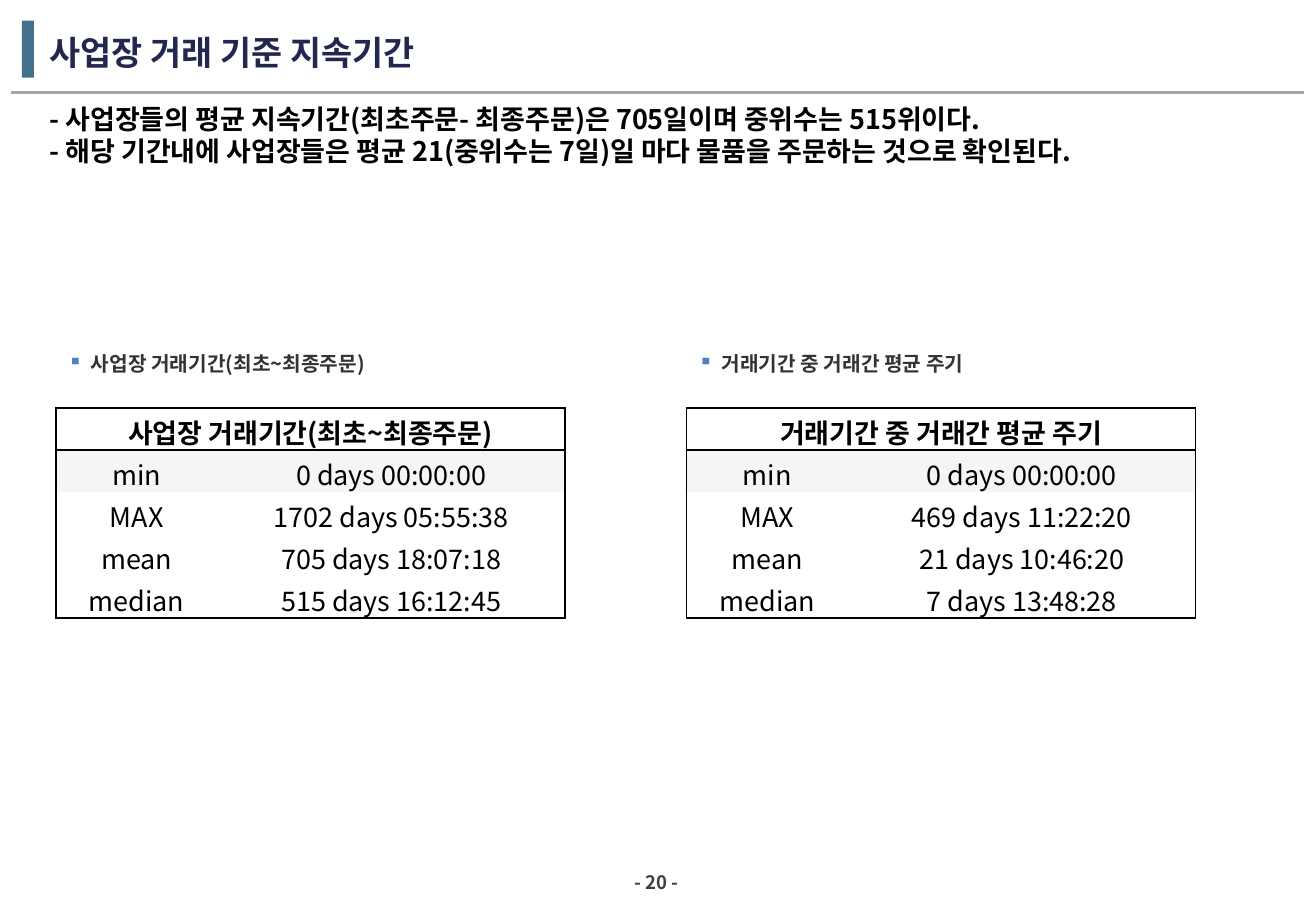
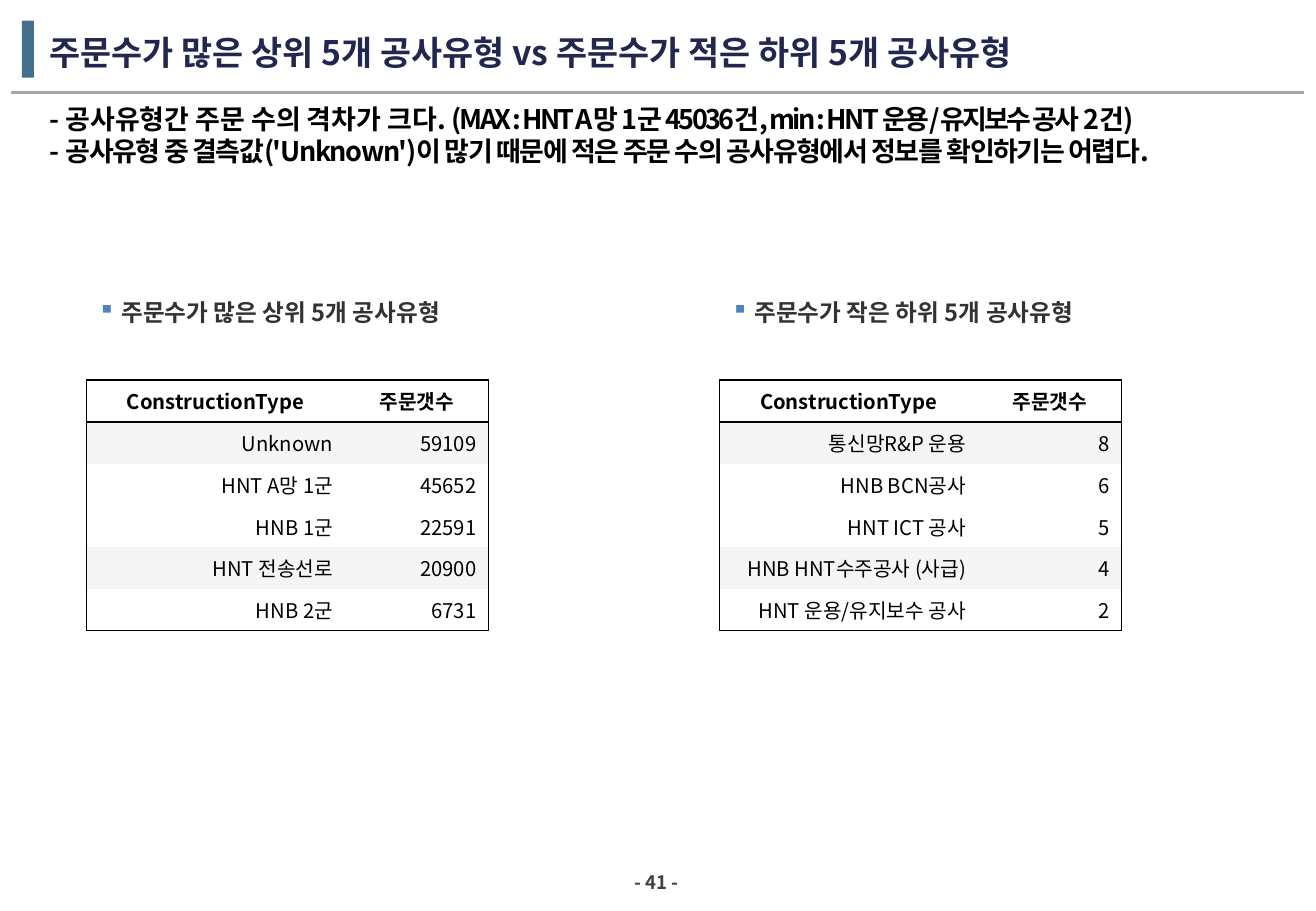
import pptx
import pptx.util
from pptx.dml.color import RGBColor
from pptx.enum.shapes import MSO_CONNECTOR, MSO_SHAPE
from pptx.enum.text import MSO_ANCHOR, PP_ALIGN
from pptx.oxml.ns import qn
from lxml import etree

Inches, Pt = pptx.util.Inches, pptx.util.Pt

FONT = "Noto Sans CJK KR"
NAVY = RGBColor(0x22, 0x27, 0x4F)
STEEL = RGBColor(0x44, 0x6F, 0x8D)
RULE_GRAY = RGBColor(0xA6, 0xA6, 0xA6)
PAGE_GRAY = RGBColor(0x40, 0x40, 0x40)
CAPTION_GRAY = RGBColor(0x33, 0x33, 0x33)
BULLET_BLUE = RGBColor(0x4F, 0x81, 0xBD)
BAND_GRAY = RGBColor(0xF5, 0xF5, 0xF5)
WHITE = RGBColor(0xFF, 0xFF, 0xFF)
BLACK = RGBColor(0, 0, 0)

COUNT_HEADER = ["ConstructionType", "주문갯수"]

# Findings are lists of (text, letter spacing in points) runs.
# Each panel is: left edge, caption, table rows.
SLIDES = [
    dict(
        page=20,
        title="사업장 거래 기준 지속기간",
        findings=[
            [("- 사업장들의 평균 지속기간(최초주문- 최종주문)은 705일이며 중위수는 515위이다.", 0)],
            [("- 해당 기간내에 사업장들은 평균 21(중위수는 7일)일 마다 물품을 주문하는 것으로 확인된다.", 0)],
        ],
        caption_top=2.81, caption_size=12,
        table_top=3.36, columns=[1.33, 2.86], row_height=0.346,
        size=16, line_spacing=0.83, align=PP_ALIGN.CENTER,
        margins=(0.08, 0.08, 0.08, 0), shaded=[1],
        panels=[
            (0.46, "사업장 거래기간(최초~최종주문)", [
                ["사업장 거래기간(최초~최종주문)"],
                ["min", "0 days 00:00:00"],
                ["MAX", "1702 days 05:55:38"],
                ["mean", "705 days 18:07:18"],
                ["median", "515 days 16:12:45"],
            ]),
            (5.65, "거래기간 중 거래간 평균 주기", [
                ["거래기간 중 거래간 평균 주기"],
                ["min", "0 days 00:00:00"],
                ["MAX", "469 days 11:22:20"],
                ["mean", "21 days 10:46:20"],
                ["median", "7 days 13:48:28"],
            ]),
        ],
    ),
    dict(
        page=41,
        title="주문수가 많은 상위 5개 공사유형 vs 주문수가 적은 하위 5개 공사유형",
        findings=[
            [("- 공사유형간 주문 수의 격차가 크다. ", 0),
             ("(MAX : HNT A망 1군 45036건, min : HNT 운용/유지보수 공사 2건)", -1.5)],
            [("- ", 0),
             ("공사유형 중 결측값('Unknown')이 많기 때문에 적은 주문 수의 공사유형에서 정보를 확인하기는 어렵다.", -0.8)],
        ],
        caption_top=2.36, caption_size=14,
        table_top=3.13, columns=[2.13, 1.18], row_height=0.344,
        size=12, line_spacing=1.0, align=PP_ALIGN.RIGHT,
        margins=(0, 0.05, 0.1, 0.05), shaded=[1, 4],
        panels=[
            (0.71, "주문수가 많은 상위 5개 공사유형", [
                COUNT_HEADER,
                ["Unknown", "59109"],
                ["HNT A망 1군", "45652"],
                ["HNB 1군", "22591"],
                ["HNT 전송선로", "20900"],
                ["HNB 2군", "6731"],
            ]),
            (5.92, "주문수가 작은 하위 5개 공사유형", [
                COUNT_HEADER,
                ["통신망R&P 운용", "8"],
                ["HNB BCN공사", "6"],
                ["HNT ICT 공사", "5"],
                ["HNB HNT수주공사 (사급)", "4"],
                ["HNT 운용/유지보수 공사", "2"],
            ]),
        ],
    ),
]


def style(paragraph, size, color, bold=True):
    for run in paragraph.runs:
        run.font.size = Pt(size)
        run.font.bold = bold
        run.font.color.rgb = color
        run.font.name = FONT
        east_asian = etree.SubElement(run.font._element, qn("a:ea"))
        east_asian.set("typeface", FONT)


def add_text(slide, left, top, width, height, text, anchor=MSO_ANCHOR.TOP):
    """Add a wrapping text box and return its text frame."""
    frame = slide.shapes.add_textbox(
        Inches(left), Inches(top), Inches(width), Inches(height)).text_frame
    frame.word_wrap = True
    frame.vertical_anchor = anchor
    frame.text = text
    return frame


deck = pptx.Presentation()
deck.slide_width, deck.slide_height = Inches(10.83), Inches(7.5)

for content in SLIDES:
    slide = deck.slides.add_slide(deck.slide_layouts[6])

    # Title band and page number
    accent = slide.shapes.add_shape(
        MSO_SHAPE.RECTANGLE, Inches(0.18), Inches(0.17), Inches(0.1), Inches(0.47))
    accent.shadow.inherit = False
    accent.fill.solid()
    accent.fill.fore_color.rgb = STEEL
    accent.line.fill.background()

    rule = slide.shapes.add_connector(
        MSO_CONNECTOR.STRAIGHT, Inches(10.73), Inches(0.76), Inches(0.09), Inches(0.76))
    rule.line.color.rgb = RULE_GRAY
    rule.line.width = Pt(1.5)
    etree.SubElement(rule._element.spPr, qn("a:effectLst"))

    title = add_text(slide, 0.31, 0.08, 10.21, 0.65, content["title"], MSO_ANCHOR.MIDDLE)
    title.margin_bottom = 0
    style(title.paragraphs[0], 20, NAVY)

    page = add_text(slide, 4.24, 7.14, 2.33, 0.24, f"- {content['page']} -", MSO_ANCHOR.MIDDLE)
    page.paragraphs[0].alignment = PP_ALIGN.CENTER
    style(page.paragraphs[0], 11, PAGE_GRAY)

    # Findings
    findings = add_text(slide, 0.31, 0.84, 10.21, 1.1, "")
    for index, runs in enumerate(content["findings"]):
        finding = findings.add_paragraph() if index else findings.paragraphs[0]
        finding.line_spacing = 0.83
        if index:
            finding.space_before = Pt(3.2)
        for text, spacing in runs:
            run = finding.add_run()
            run.text = text
            if spacing:
                run.font._element.set("spc", str(round(spacing * 100)))
        style(finding, 16, BLACK)

    # Captioned tables
    columns = content["columns"]
    for left, caption_text, rows in content["panels"]:
        caption = add_text(
            slide, left, content["caption_top"], 4.7, 0.38, caption_text).paragraphs[0]
        caption.line_spacing = 1.17
        properties = caption._p.get_or_add_pPr()
        properties.set("marL", str(Inches(0.19)))
        properties.set("indent", str(-Inches(0.19)))
        bullet_color = etree.SubElement(properties, qn("a:buClr"))
        etree.SubElement(bullet_color, qn("a:srgbClr")).set("val", str(BULLET_BLUE))
        etree.SubElement(properties, qn("a:buChar")).set("char", "▪")
        style(caption, content["caption_size"], CAPTION_GRAY)

        table = slide.shapes.add_table(
            len(rows), len(columns), Inches(left), Inches(content["table_top"]),
            Inches(sum(columns)), Inches(content["row_height"] * len(rows))).table
        table.first_row = table.horz_banding = False
        for column, width in zip(table.columns, columns):
            column.width = Inches(width)
        merged_header = len(rows[0]) == 1
        if merged_header:
            table.cell(0, 0).merge(table.cell(0, 1))

        last_row, last_column = len(rows) - 1, len(columns) - 1
        for r, row in enumerate(rows):
            table.rows[r].height = Inches(content["row_height"])
            for c in range(len(columns)):
                cell = table.cell(r, c)
                cell.vertical_anchor = MSO_ANCHOR.MIDDLE
                margins = [Inches(margin) for margin in content["margins"]]
                if r == 0:
                    margins[0] = margins[2]
                (cell.margin_left, cell.margin_top,
                 cell.margin_right, cell.margin_bottom) = margins

                # Outer frame plus a line under the header
                edges = {
                    "a:lnL": c == 0,
                    "a:lnR": c == last_column or (merged_header and r == 0),
                    "a:lnT": r in (0, 1),
                    "a:lnB": r in (0, last_row),
                }
                cell_properties = cell._tc.get_or_add_tcPr()
                for tag, visible in edges.items():
                    edge = etree.SubElement(cell_properties, qn(tag))
                    if visible:
                        edge.set("w", str(Pt(1)))
                        ink = etree.SubElement(edge, qn("a:solidFill"))
                        etree.SubElement(ink, qn("a:srgbClr")).set("val", str(BLACK))
                    else:
                        etree.SubElement(edge, qn("a:noFill"))
                cell.fill.solid()
                cell.fill.fore_color.rgb = BAND_GRAY if r in content["shaded"] else WHITE

                if c < len(row):
                    cell.text_frame.text = row[c]
                    entry = cell.text_frame.paragraphs[0]
                    entry.alignment = content["align"] if r else PP_ALIGN.CENTER
                    entry.line_spacing = content["line_spacing"]
                    style(entry, content["size"], BLACK, bold=r == 0)

deck.save("out.pptx")
